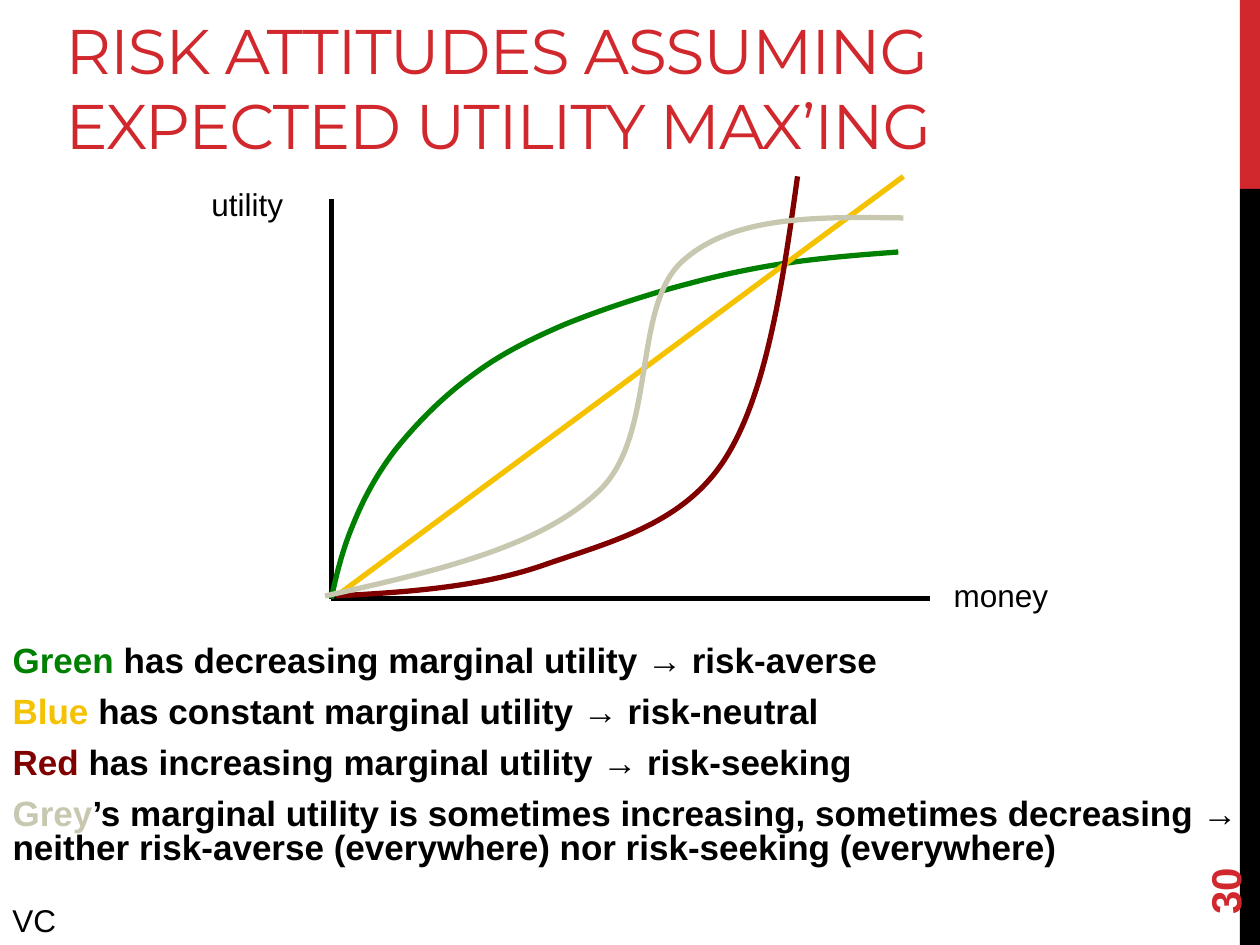
from lxml import etree
from pptx import Presentation
from pptx import util as u
from pptx.dml.color import RGBColor
from pptx.enum import shapes, text
from pptx.oxml import ns

COLORS = {
    "accent": "D1282E", "black": "000000", "green": "008000",
    "yellow": "F5C201", "red": "800000", "grey": "C8C8B1",
}
ORIGIN = (2.63, 4.75)

# Each curve: colour, start point, then control, control, end for each segment
CURVES = [
    ("green", ORIGIN, [
        (2.67, 4.56), (2.72, 4.36), (2.8, 4.17),
        (2.88, 3.97), (2.98, 3.78), (3.13, 3.58),
        (3.28, 3.39), (3.49, 3.17), (3.72, 3),
        (3.94, 2.83), (4.17, 2.71), (4.47, 2.58),
        (4.76, 2.46), (5.16, 2.33), (5.47, 2.25),
        (5.77, 2.17), (6.02, 2.12), (6.3, 2.08),
        (6.58, 2.04), (6.99, 2.01), (7.13, 2),
    ]),
    ("red", (2.67, 4.73), [
        (3.24, 4.7), (3.82, 4.66), (4.33, 4.48),
        (4.85, 4.3), (5.42, 4.16), (5.75, 3.65),
        (6.08, 3.14), (6.21, 2.27), (6.33, 1.4),
    ]),
    ("grey", (2.58, 4.73), [
        (3.43, 4.54), (4.28, 4.35), (4.75, 3.9),
        (5.22, 3.46), (5.01, 2.43), (5.42, 2.07),
        (5.82, 1.71), (6.49, 1.72), (7.17, 1.73),
    ]),
]
STATEMENTS = [
    ("Green", "green", " has decreasing marginal utility → risk-averse"),
    ("Blue", "yellow", " has constant marginal utility → risk-neutral"),
    ("Red", "red", " has increasing marginal utility → risk-seeking"),
    ("Grey", "grey", "’s marginal utility is sometimes increasing, sometimes "
     "decreasing → neither risk-averse (everywhere) nor risk-seeking (everywhere)"),
]


def rgb(name):
    return RGBColor.from_string(COLORS[name])


def set_all(target, **values):
    for name, value in values.items():
        setattr(target, name, value)


def place(shape, left, top, width, height):
    set_all(shape, left=u.Inches(left), top=u.Inches(top),
            width=u.Inches(width), height=u.Inches(height))


def add_span(para, words, color, size, bold=False, name="Arial"):
    span = para.add_run()
    span.text = words
    set_all(span.font, name=name, size=u.Pt(size), bold=bold)
    span.font.color.rgb = rgb(color)
    return span


def style_line(shape, color):
    shape.line.color.rgb = rgb(color)
    shape.line.width = u.Pt(3)


def add_bar(page, top, height, color):
    bar = page.shapes.add_shape(
        shapes.MSO_SHAPE.RECTANGLE, u.Inches(9.84), u.Inches(top),
        u.Inches(0.16), u.Inches(height))
    bar.shadow.inherit = False
    bar.fill.solid()
    bar.fill.fore_color.rgb = rgb(color)
    bar.line.fill.background()


def add_straight(page, start, end, color):
    line = page.shapes.add_connector(
        shapes.MSO_CONNECTOR.STRAIGHT, *map(u.Inches, start + end))
    style_line(line, color)
    etree.SubElement(line._element.spPr, ns.qn("a:effectLst"))


def add_curve(page, color, start, points):
    builder = page.shapes.build_freeform(*map(u.Inches, start))
    builder.add_line_segments(
        [tuple(map(u.Inches, point)) for point in points], close=False)
    curve = builder.convert_to_shape()

    # Turn every three straight pieces into one cubic Bezier segment
    pieces = list(curve._element.iter(ns.qn("a:lnTo")))
    outline = pieces[0].getparent()
    for index in range(0, len(pieces), 3):
        bezier = etree.SubElement(outline, ns.qn("a:cubicBezTo"))
        for piece in pieces[index:index + 3]:
            bezier.append(piece[0])
            outline.remove(piece)

    curve.shadow.inherit = False
    curve.fill.background()
    style_line(curve, color)


def add_label(page, at, words, color="black", size=18, bold=False, wrap=False):
    box = page.shapes.add_textbox(*map(u.Inches, at))
    box.text_frame.word_wrap = wrap
    add_span(box.text_frame.paragraphs[0], words, color, size, bold)
    return box


def fill_title(title):
    place(title, 0.42, 0.26, 9, 1.08)
    set_all(title.text_frame, vertical_anchor=text.MSO_ANCHOR.BOTTOM,
            auto_size=text.MSO_AUTO_SIZE.NONE, word_wrap=True)
    para = title.text_frame.paragraphs[0]
    para.alignment = text.PP_ALIGN.LEFT
    span = add_span(para, "RISK ATTITUDES ASSUMING EXPECTED UTILITY MAX’ING",
                    "accent", 36, name="Montserrat")
    span.font._element.set("spc", "-60")


def fill_body(body):
    place(body, 0, 5.08, 10, 2.42)
    frame = body.text_frame
    set_all(frame, auto_size=text.MSO_AUTO_SIZE.NONE, word_wrap=True)
    for index, (name, color, rest) in enumerate(STATEMENTS):
        para = frame.add_paragraph() if index else frame.paragraphs[0]
        set_all(para, line_spacing=0.8, space_after=u.Pt(6),
                space_before=u.Pt(4 if index else 0))
        props = para._p.get_or_add_pPr()
        props.set("marL", "0")
        props.set("indent", "0")
        etree.SubElement(props, ns.qn("a:buNone"))
        add_span(para, name, color, 20, bold=True)
        add_span(para, rest, "black", 20, bold=True)


def main():
    deck = Presentation()
    set_all(deck, slide_width=u.Inches(10), slide_height=u.Inches(7.5))
    page = deck.slides.add_slide(deck.slide_layouts[1])

    # Side bars
    add_bar(page, 0, 1.5, "accent")
    add_bar(page, 1.5, 6, "black")

    # Title and statements
    fill_title(page.shapes.title)
    fill_body(page.placeholders[1])

    # Axes and their labels
    add_straight(page, (2.63, 1.58), ORIGIN, "black")
    add_straight(page, ORIGIN, (7.38, 4.75), "black")
    add_label(page, (1.58, 1.42, 0.77, 0.4), "utility")
    add_label(page, (7.47, 4.52, 0.95, 0.4), "money")

    # Utility curves, with the straight one above green
    green, *others = CURVES
    add_curve(page, *green)
    add_straight(page, (2.67, 4.73), (7.17, 1.4), "yellow")
    for curve in others:
        add_curve(page, *curve)

    # Page number and initials
    number = add_label(page, (9, 6.44, 1.44, 0.4), "30", "accent", 24, True, True)
    number.rotation = 270
    number.text_frame.vertical_anchor = text.MSO_ANCHOR.MIDDLE
    add_label(page, (0, 7.1, 0.56, 0.4), "VC", wrap=True)

    deck.save("out.pptx")


if __name__ == "__main__":
    main()
